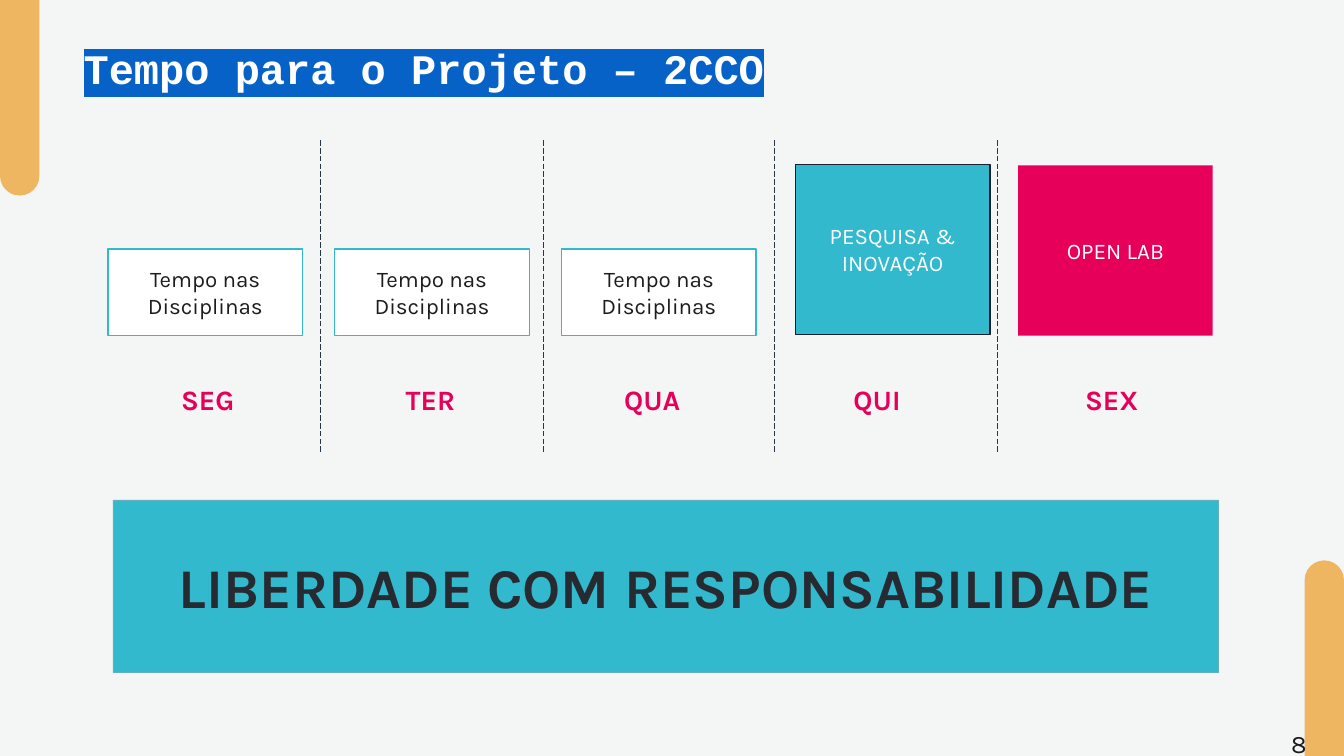
from dataclasses import dataclass
from typing import Any, NamedTuple, Optional

from lxml import etree
from pptx import Presentation
from pptx.dml.color import RGBColor
from pptx.enum.dml import MSO_LINE
from pptx.enum.shapes import MSO_CONNECTOR, MSO_SHAPE
from pptx.enum.text import MSO_ANCHOR, MSO_AUTO_SIZE, PP_ALIGN
from pptx.oxml.ns import qn
from pptx.util import Inches, Pt

RECTANGLE = MSO_SHAPE.RECTANGLE
ROUNDED_TOP = MSO_SHAPE.ROUND_2_SAME_RECTANGLE
STRAIGHT = MSO_CONNECTOR.STRAIGHT
LONG_DASH = MSO_LINE.LONG_DASH
TOP, MIDDLE, BOTTOM = MSO_ANCHOR.TOP, MSO_ANCHOR.MIDDLE, MSO_ANCHOR.BOTTOM
LEFT, CENTER = PP_ALIGN.LEFT, PP_ALIGN.CENTER
GROW = MSO_AUTO_SIZE.SHAPE_TO_FIT_TEXT
SLIDE_WIDTH, SLIDE_HEIGHT = Inches(13.33), Inches(7.5)


@dataclass(frozen=True)
class Theme:
    paper: str = "F4F5F5"
    amber: str = "EFB661"
    blue: str = "0762C8"
    teal: str = "32B9CD"
    teal_edge: str = "63B1BC"
    pink: str = "E6005A"
    navy: str = "171F32"
    slate: str = "253746"
    charcoal: str = "272A30"
    ink: str = "1C1C1C"
    white: str = "FFFFFF"
    body_font: str = "Karla"
    title_font: str = "Courier New"
    block_size: int = 16
    page_size: int = 18
    day_size: int = 20
    title_size: int = 30
    banner_size: int = 40
    title_leading: int = 45


THEME = Theme()


class Area(NamedTuple):
    """Percent shares of the slide's width and height."""
    left: float
    top: float
    width: float
    height: float

    def emu(self) -> tuple[int, ...]:
        sides = (SLIDE_WIDTH, SLIDE_HEIGHT) * 2
        return tuple(round(share * side / 100) for share, side in zip(self, sides))


class Edge(NamedTuple):
    color: str
    width: float


@dataclass(frozen=True)
class Lettering:
    size: int
    color: str
    bold: bool = False
    font: str = THEME.body_font
    align: PP_ALIGN = CENTER


@dataclass(frozen=True)
class Activity:
    wording: str
    top: float
    height: float
    fill: str
    color: str
    edge: Optional[Edge]


@dataclass(frozen=True)
class Weekday:
    name: str
    name_left: float
    activity_left: float
    activity: Activity
    divider: Optional[float] = None


BLOCK_WIDTH, NAME_WIDTH = 14.48, 8.55
NAME_TOP, NAME_HEIGHT = 50, 5.87
DIVIDER_TOP, DIVIDER_BOTTOM = 18.53, 60
BAR_WIDTH, BAR_HEIGHT = 2.93, 25.87

CLASSES = Activity("Tempo nas Disciplinas", 32.93, 11.47, THEME.white, THEME.ink, Edge(THEME.teal, 1))
RESEARCH = Activity("PESQUISA & INOVAÇÃO", 21.73, 22.53, THEME.teal, THEME.white, Edge(THEME.navy, 1))
OPEN_LAB = Activity("OPEN LAB", 21.87, 22.53, THEME.pink, THEME.white, None)
WEEK = (
    Weekday("SEG", 11.18, 8.03, CLASSES, 23.85),
    Weekday("TER", 27.75, 24.9, CLASSES, 40.43),
    Weekday("QUA", 44.25, 41.78, CLASSES, 57.6),
    Weekday("QUI", 60.98, 59.18, RESEARCH, 74.18),
    Weekday("SEX", 78.45, 75.75, OPEN_LAB),
)


def assign(target: Any, values: dict[str, Any]) -> None:
    for attribute, value in values.items():
        setattr(target, attribute, value)


def write(shape: Any, wording: str, style: Lettering, **frame_values: Any) -> Any:
    frame = shape.text_frame
    assign(frame, {"word_wrap": True, **frame_values})
    paragraph = frame.paragraphs[0]
    paragraph.alignment = style.align
    run = paragraph.add_run()
    run.text = wording
    assign(run.font, {"size": Pt(style.size), "bold": style.bold, "name": style.font})
    run.font.color.rgb = RGBColor.from_string(style.color)
    return paragraph


def add_panel(slide: Any, area: Area, fill: str, edge: Optional[Edge] = None,
              preset: MSO_SHAPE = RECTANGLE) -> Any:
    panel = slide.shapes.add_shape(preset, *area.emu())
    panel.shadow.inherit = False
    panel.fill.solid()
    panel.fill.fore_color.rgb = RGBColor.from_string(fill)
    if edge:
        panel.line.color.rgb = RGBColor.from_string(edge.color)
        panel.line.width = Pt(edge.width)
    else:
        panel.line.fill.background()
    return panel


def add_label(slide: Any, area: Area, wording: str, style: Lettering, **frame_values: Any) -> Any:
    return write(slide.shapes.add_textbox(*area.emu()), wording, style, **frame_values)


def add_side_bar(slide: Any, left: float, top: float, rotation: int) -> None:
    bar = add_panel(slide, Area(left, top, BAR_WIDTH, BAR_HEIGHT), THEME.amber, preset=ROUNDED_TOP)
    bar.rotation = rotation
    bar.adjustments[0] = 0.5


def add_title(slide: Any) -> None:
    style = Lettering(THEME.title_size, THEME.white, True, THEME.title_font, LEFT)
    title = add_label(slide, Area(5.48, 2.67, 72.6, 9.6), "Tempo para o Projeto – 2CCO", style,
                      vertical_anchor=BOTTOM, margin_bottom=0)
    title.line_spacing = Pt(THEME.title_leading)
    properties = title.runs[0].font._element if hasattr(title.runs[0].font, "_element") else title.runs[0]._r.rPr
    highlight = etree.Element(qn("a:highlight"))
    etree.SubElement(highlight, qn("a:srgbClr"), val=THEME.blue)
    properties.find(qn("a:solidFill")).addnext(highlight)


def add_divider(slide: Any, column: float) -> None:
    left, top, _, height = Area(column, DIVIDER_TOP, 0, DIVIDER_BOTTOM - DIVIDER_TOP).emu()
    divider = slide.shapes.add_connector(STRAIGHT, left, top, left, top + height)
    divider.line.color.rgb = RGBColor.from_string(THEME.slate)
    assign(divider.line, {"width": Pt(0.5), "dash_style": LONG_DASH})
    etree.SubElement(divider._element.spPr, qn("a:effectLst"))


def add_weekday(slide: Any, day: Weekday) -> None:
    if day.divider is not None:
        add_divider(slide, day.divider)
    add_label(slide, Area(day.name_left, NAME_TOP, NAME_WIDTH, NAME_HEIGHT), day.name,
              Lettering(THEME.day_size, THEME.pink, True), auto_size=GROW)
    activity = day.activity
    block = add_panel(slide, Area(day.activity_left, activity.top, BLOCK_WIDTH, activity.height),
                      activity.fill, activity.edge)
    write(block, activity.wording, Lettering(THEME.block_size, activity.color), vertical_anchor=MIDDLE)


def main() -> None:
    deck = Presentation()
    assign(deck, {"slide_width": SLIDE_WIDTH, "slide_height": SLIDE_HEIGHT})
    slide = deck.slides.add_slide(deck.slide_layouts[6])
    slide.background.fill.solid()
    slide.background.fill.fore_color.rgb = RGBColor.from_string(THEME.paper)

    add_side_bar(slide, 0, 0, 180)
    add_side_bar(slide, 100 - BAR_WIDTH, 100 - BAR_HEIGHT, 0)
    add_title(slide)
    add_label(slide, Area(95.33, 95.73, 4.65, 2.8), "8",
              Lettering(THEME.page_size, THEME.ink, align=LEFT), vertical_anchor=TOP)
    for day in WEEK:
        add_weekday(slide, day)
    banner = add_panel(slide, Area(8.4, 66.13, 82.28, 22.8), THEME.teal, Edge(THEME.teal_edge, 0.5))
    write(banner, "LIBERDADE COM RESPONSABILIDADE",
          Lettering(THEME.banner_size, THEME.charcoal, True), vertical_anchor=MIDDLE)
    deck.save("out.pptx")


main()
